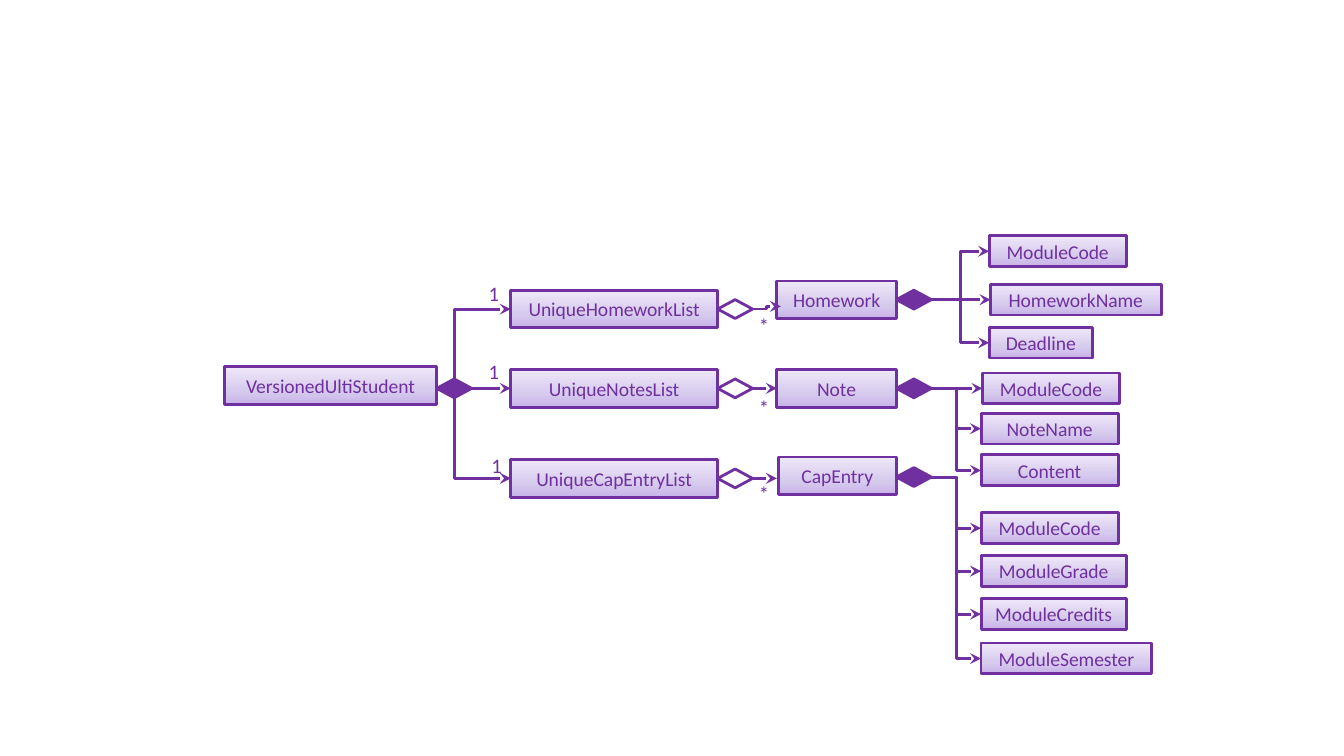
from copy import deepcopy
from lxml.etree import SubElement
from pptx import Presentation
from pptx.dml.color import RGBColor
from pptx.enum.shapes import MSO_CONNECTOR as Link, MSO_SHAPE as Shape
from pptx.enum.text import MSO_ANCHOR as Anchor, PP_ALIGN as Align
from pptx.oxml.ns import qn
from pptx.util import Inches, Pt

PURPLE = RGBColor(0x70, 0x30, 0xA0)
SHADES = [
    (0, RGBColor(0xC8, 0xB2, 0xE9)),
    (0.35, RGBColor(0xD6, 0xCA, 0xED)),
    (1, RGBColor(0xEF, 0xE8, 0xFA)),
]

deck = Presentation()
deck.slide_width = Inches(10)
deck.slide_height = deck.slide_width * 9 // 16
slide = deck.slides.add_slide(deck.slide_layouts[6])
shapes = slide.shapes

ROOT_X, LIST_X, STAR_X = 1.67, 3.8, 5.58
CLASS_H, FIELD_H = 0.28, 0.23
LIST_W, ROOT_W = 1.54, 1.58
DIAMOND_W, DIAMOND_H = 0.26, 0.14
MARK_W, MARK_H = 0.21, 0.15


def write(text, x, y, w, h, size=10.5, boxed=True):
    place = [Inches(v) for v in (x, y, w, h)]
    if boxed:
        item = shapes.add_shape(Shape.RECTANGLE, *place)
        item.shadow.inherit = False
        item.line.color.rgb, item.line.width = PURPLE, Pt(1.5)
        item.fill.gradient()
        item.fill.gradient_angle = 90
        stops = item._element.spPr.find(".//" + qn("a:gsLst"))
        stops.append(deepcopy(stops[0]))
        for stop, (position, shade) in zip(item.fill.gradient_stops, SHADES):
            stop.position, stop.color.rgb = position, shade
    else:
        item = shapes.add_textbox(*place)
    frame = item.text_frame
    frame.word_wrap = True
    frame.vertical_anchor = Anchor.MIDDLE if boxed else Anchor.TOP
    frame.margin_left = frame.margin_right = Inches(0.1 if boxed else 0)
    frame.margin_top = frame.margin_bottom = Inches(0.05 if boxed else 0)
    line = frame.paragraphs[0]
    line.alignment = Align.CENTER
    run = line.add_run()
    run.text = text
    run.font.name, run.font.size, run.font.color.rgb = "Calibri", Pt(size), PURPLE


def arrow(x1, y1, x2, y2, upright=False):
    ends = (x1, y1, x2, y2)
    if upright:
        mid_x, mid_y = (x1 + x2) / 2, (y1 + y2) / 2
        half_rise, half_run = (y1 - y2) / 2, (x2 - x1) / 2
        ends = (mid_x - half_rise, mid_y - half_run, mid_x + half_rise, mid_y + half_run)
    link = shapes.add_connector(Link.ELBOW, *[Inches(v) for v in ends])
    link.line.color.rgb, link.line.width = PURPLE, Pt(1.5)
    outline = link._element.spPr
    if upright:
        outline.find(qn("a:prstGeom")).set("prst", "bentConnector2")
        outline.find(qn("a:xfrm")).set("rot", str(270 * 60000))
    SubElement(outline.find(qn("a:ln")), qn("a:tailEnd"), type="stealth")
    SubElement(outline, qn("a:effectLst"))


branches = [
    dict(list="UniqueHomeworkList", list_y=2.3, one=(3.57, 2.09), star_y=2.33,
         entity="Homework", entity_x=5.78, entity_y=2.23, tip=(5.81, 2.28), hub_y=2.23,
         fields=[("ModuleCode", 7.36, 1.87, 1.02), ("HomeworkName", 7.37, 2.23, 1.27),
                 ("Deadline", 7.36, 2.55, 0.77)]),
    dict(list="UniqueNotesList", list_y=2.89, one=(3.57, 2.67), star_y=2.94,
         entity="Note", entity_x=5.78, entity_y=2.89, tip=(5.78, 2.89), hub_y=2.89,
         fields=[("ModuleCode", 7.31, 2.89, 1.02), ("NoteName", 7.3, 3.19, 1.02),
                 ("Content", 7.3, 3.5, 1.02)]),
    dict(list="UniqueCapEntryList", list_y=3.56, one=(3.59, 3.37), star_y=3.58,
         entity="CapEntry", entity_x=5.79, entity_y=3.54, tip=(5.78, 3.56), hub_y=3.55,
         fields=[("ModuleCode", 7.3, 3.93, 1.02), ("ModuleGrade", 7.3, 4.25, 1.08),
                 ("ModuleCredits", 7.3, 4.57, 1.08), ("ModuleSemester", 7.3, 4.9, 1.27)]),
]

root_y = 2.89
root_right, list_right, entity_right = ROOT_X + ROOT_W, LIST_X + LIST_W, 6.67
root_hub_x = root_right + DIAMOND_W / 2
write("VersionedUltiStudent", ROOT_X, 2.73, ROOT_W, CLASS_H)

diamonds = [(root_right, root_y, True)]
for branch in branches:
    list_y, hub_y, entity_x = branch["list_y"], branch["hub_y"], branch["entity_x"]
    write(branch["list"], LIST_X, list_y - CLASS_H / 2, LIST_W, CLASS_H)
    write(branch["entity"], entity_x, branch["entity_y"] - CLASS_H / 2,
          entity_right - entity_x, CLASS_H)
    diamonds += [(list_right, list_y, False), (entity_right, hub_y, True)]

    if list_y == root_y:
        arrow(root_right + DIAMOND_W, root_y, LIST_X, list_y)
    else:
        side = DIAMOND_H / 2 if list_y > root_y else -DIAMOND_H / 2
        arrow(root_hub_x, root_y + side, LIST_X, list_y, upright=True)
    arrow(list_right + DIAMOND_W, list_y, *branch["tip"])

    for field, x, y, w in branch["fields"]:
        write(field, x, y - FIELD_H / 2, w, FIELD_H)
        arrow(entity_right + DIAMOND_W, hub_y, x, y)

    write("1", *branch["one"], MARK_W, MARK_H, size=11, boxed=False)
    write("*", STAR_X, branch["star_y"], MARK_W, MARK_H, size=11, boxed=False)

for x, y, solid in diamonds:
    diamond = shapes.add_shape(Shape.FLOWCHART_DECISION, Inches(x), Inches(y - DIAMOND_H / 2),
                               Inches(DIAMOND_W), Inches(DIAMOND_H))
    diamond.shadow.inherit = False
    diamond.line.color.rgb, diamond.line.width = PURPLE, Pt(1.5)
    if solid:
        diamond.fill.solid()
        diamond.fill.fore_color.rgb = PURPLE
    else:
        diamond.fill.background()

deck.save("out.pptx")
